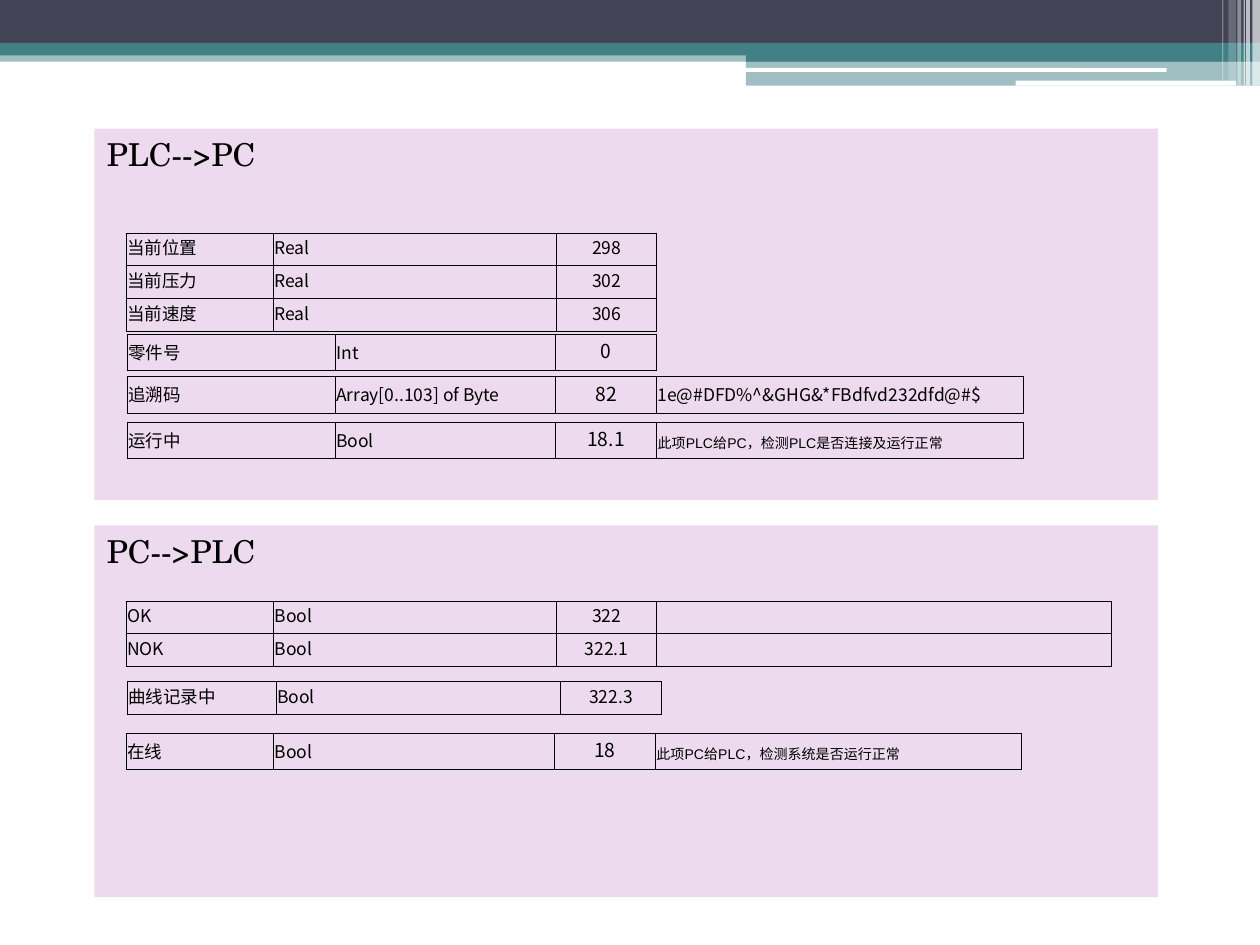
from dataclasses import dataclass

from lxml import etree
from pptx import Presentation
from pptx.dml.color import RGBColor
from pptx.enum.shapes import MSO_SHAPE
from pptx.enum.text import MSO_ANCHOR, PP_ALIGN
from pptx.oxml.ns import qn
from pptx.util import Inches, Pt

RECT = MSO_SHAPE.RECTANGLE
ROUNDED = MSO_SHAPE.ROUNDED_RECTANGLE
TOP, MIDDLE, BOTTOM = MSO_ANCHOR.TOP, MSO_ANCHOR.MIDDLE, MSO_ANCHOR.BOTTOM
LEFT, CENTER = PP_ALIGN.LEFT, PP_ALIGN.CENTER
VALUE_COLUMN, NOTE_COLUMN = 2, 3


@dataclass(frozen=True)
class Theme:
    navy: str = "424456"
    teal: str = "438086"
    white: str = "FFFFFF"
    black: str = "000000"
    panel: str = "EDDAEE"
    heading_font: str = "TeX Gyre Schola"
    body_font: str = "Noto Sans CJK SC"
    note_font: str = "Arial"
    heading_size: int = 18
    large_size: int = 11
    body_size: int = 10
    note_size: int = 8
    border: float = 0.5


THEME = Theme()

# left, top, width, height, colour, opacity in percent
HEADER_BARS = [
    (0, 0.4, 10, 0.09, THEME.teal, 50),
    (0, 0, 10, 0.34, THEME.navy, 100),
    (0, 0.34, 10, 0.1, THEME.teal, 100),
    (5.92, 0.39, 4.08, 0.1, THEME.teal, 100),
    (5.92, 0.48, 4.08, 0.2, THEME.teal, 50),
]
WHITE_RULES = [(5.91, 0.54, 3.35, 0.03), (8.06, 0.64, 1.75, 0.04)]
# left, width, height, opacity in percent
EDGE_STRIPES = [
    (9.94, 0.06, 0.68, 65), (9.89, 0.03, 0.68, 65), (9.87, 0.01, 0.68, 60),
    (9.82, 0.03, 0.68, 40), (9.75, 0.06, 0.64, 20), (9.7, 0.01, 0.64, 30),
]
PANELS = [("PLC-->PC", 1.02), ("PC-->PLC", 4.17)]

# left, top, column widths, size of the address column, rows
SIGNAL_TABLES = [
    (1, 1.85, (1.17, 2.25, 0.79), THEME.body_size,
     [("当前位置", "Real", "298"),
      ("当前压力", "Real", "302"),
      ("当前速度", "Real", "306")]),
    (1.01, 2.65, (1.65, 1.75, 0.8), THEME.large_size,
     [("零件号", "Int", "0")]),
    (1.01, 2.99, (1.65, 1.75, 0.8, 2.91), THEME.large_size,
     [("追溯码", "Array[0..103] of Byte", "82", "1e@#DFD%^&GHG&*FBdfvd232dfd@#$")]),
    (1.01, 3.35, (1.65, 1.75, 0.8, 2.91), THEME.large_size,
     [("运行中", "Bool", "18.1", "此项PLC给PC，检测PLC是否连接及运行正常")]),
    (1, 4.77, (1.17, 2.25, 0.79, 3.61), THEME.body_size,
     [("OK", "Bool", "322", ""),
      ("NOK", "Bool", "322.1", "")]),
    (1.01, 5.41, (1.18, 2.26, 0.8), THEME.body_size,
     [("曲线记录中", "Bool", "322.3")]),
    (1, 5.82, (1.17, 2.23, 0.8, 2.91), THEME.large_size,
     [("在线", "Bool", "18", "此项PC给PLC，检测系统是否运行正常")]),
]


def add_block(page, left, top, width, height, color, opacity=100, kind=RECT):
    block = page.shapes.add_shape(
        kind, Inches(left), Inches(top), Inches(width), Inches(height))
    block.shadow.inherit = False
    block.line.fill.background()
    block.fill.solid()
    block.fill.fore_color.rgb = RGBColor.from_string(color)
    if opacity < 100:
        tint = block.fill._xPr.find(".//" + qn("a:srgbClr"))
        etree.SubElement(tint, qn("a:alpha"), val=str(opacity * 1000))
    return block


def write_text(para, text, font, size, align=LEFT):
    para.text = text
    para.alignment = align
    for span in para.runs:
        span.font.name = font
        span.font.size = Pt(size)
        span.font.color.rgb = RGBColor.from_string(THEME.black)
        east_asian = etree.SubElement(span.font._rPr, qn("a:ea"))
        east_asian.set("typeface", THEME.body_font)
    if not text:
        para._p.get_or_add_endParaRPr().set("sz", str(size * 100))


def add_header(page):
    for bar in HEADER_BARS:
        add_block(page, *bar)
    for rule in WHITE_RULES:
        add_block(page, *rule, THEME.white, kind=ROUNDED)
    for left, width, height, opacity in EDGE_STRIPES:
        add_block(page, left, 0, width, height, THEME.white, opacity)


def add_panel(page, heading, top):
    panel = add_block(page, 0.75, top, 8.44, 2.95, THEME.panel)
    frame = panel.text_frame
    frame.word_wrap = True
    frame.vertical_anchor = TOP
    write_text(frame.paragraphs[0], heading, THEME.heading_font, THEME.heading_size)


def add_borders(cell):
    properties = cell._tc.get_or_add_tcPr()
    for side in ("lnL", "lnR", "lnT", "lnB"):
        line = etree.SubElement(properties, qn("a:" + side), w=str(Pt(THEME.border)))
        fill = etree.SubElement(line, qn("a:solidFill"))
        etree.SubElement(fill, qn("a:srgbClr"), val=THEME.black)


def fill_cell(cell, column, text, value_size):
    add_borders(cell)
    cell.fill.background()
    cell.margin_left = cell.margin_right = cell.margin_top = Inches(0.01)
    cell.margin_bottom = Inches(0.05)
    font, size, align, anchor = THEME.body_font, THEME.body_size, LEFT, BOTTOM
    if column == VALUE_COLUMN:
        size, align, anchor = value_size, CENTER, MIDDLE
    elif column == NOTE_COLUMN and text.startswith("此项"):
        font, size = THEME.note_font, THEME.note_size
    cell.vertical_anchor = anchor
    write_text(cell.text_frame.paragraphs[0], text, font, size, align)


def add_signal_table(page, left, top, widths, value_size, rows):
    row_height = 0.29 if value_size == THEME.large_size else 0.26
    table = page.shapes.add_table(
        len(rows), len(widths), Inches(left), Inches(top),
        Inches(sum(widths)), Inches(row_height * len(rows))).table
    table.first_row = table.horz_banding = False
    for column, width in zip(table.columns, widths):
        column.width = Inches(width)
    for row, texts in zip(table.rows, rows):
        row.height = Inches(row_height)
        for column, text in enumerate(texts):
            fill_cell(row.cells[column], column, text, value_size)


def main():
    deck = Presentation()
    deck.slide_width, deck.slide_height = Inches(10), Inches(7.5)
    page = deck.slides.add_slide(deck.slide_layouts[6])
    add_header(page)
    for heading, top in PANELS:
        add_panel(page, heading, top)
    for signal_table in SIGNAL_TABLES:
        add_signal_table(page, *signal_table)
    deck.save("out.pptx")


if __name__ == "__main__":
    main()
